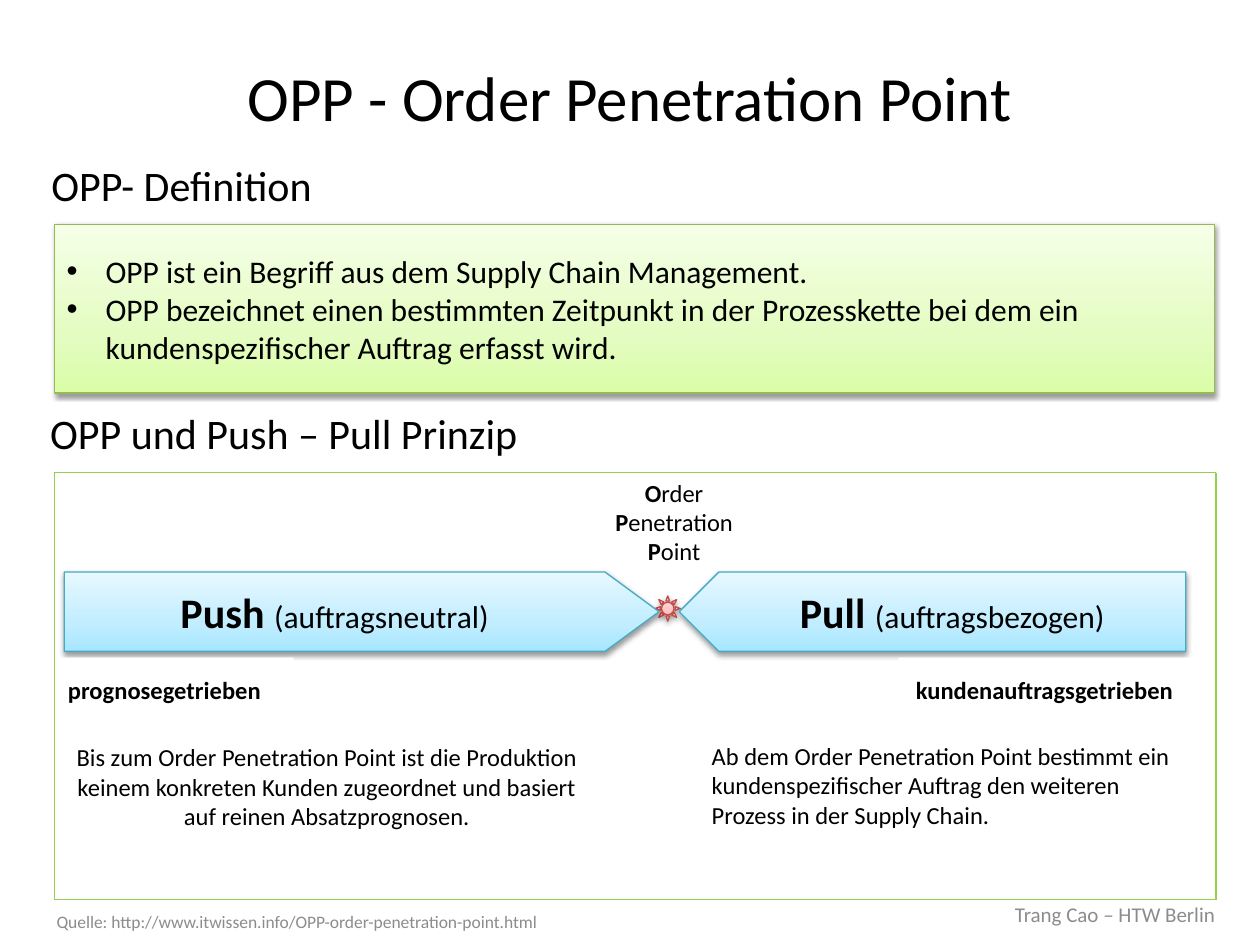
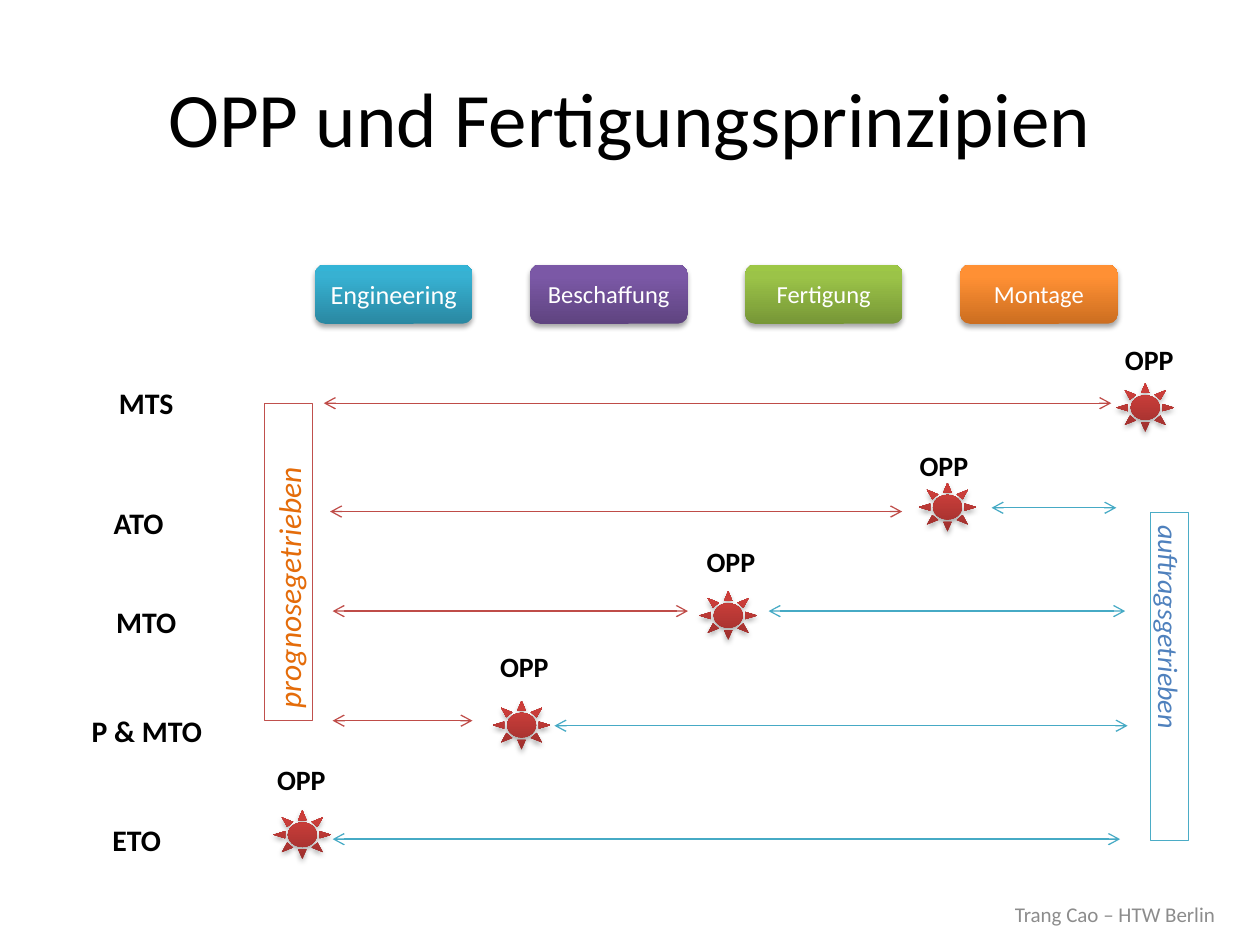
from dataclasses import dataclass, field
from typing import NamedTuple, Optional

import lxml.etree
import pptx
import pptx.dml.color
import pptx.enum.shapes
import pptx.enum.text
import pptx.oxml.ns
import pptx.util

Inches = pptx.util.Inches
Pt = pptx.util.Pt
qn = pptx.oxml.ns.qn
MSO = pptx.enum.shapes.MSO_SHAPE
ALIGN = pptx.enum.text.PP_ALIGN
ANCHOR = pptx.enum.text.MSO_ANCHOR

FONT = "Calibri"
BLACK, WHITE, GREY = "000000", "FFFFFF", "8C8C8C"
RED, TEAL, GREEN = "BF4C48", "46AAC5", "92D050"
SOFT_STOPS = (0, 35, 100)
STRONG_STOPS = (0, 80, 100)
SUN_COLOURS = ("9C2F2D", "CB3E3A", "CE3B37")
ARROW_COLOURS = ("A7E6FF", "C1EDFF", "E7F8FF")


class Area(NamedTuple):
    left: float
    top: float
    width: float
    height: float


class Run(NamedTuple):
    text: str
    size: float
    bold: bool = False
    italic: bool = False
    colour: str = BLACK


class Gradient(NamedTuple):
    stops: tuple
    colours: tuple
    shadow_alpha: int
    shadow_distance: float


def soft(*colours: str) -> Gradient:
    return Gradient(SOFT_STOPS, colours, 38, 1.6)


def strong(*colours: str) -> Gradient:
    return Gradient(STRONG_STOPS, colours, 35, 1.8)


@dataclass
class Box:
    area: Area
    paragraphs: list = field(default_factory=list)
    kind: int = MSO.RECTANGLE
    fill: object = WHITE
    line: Optional[str] = None
    align: int = ALIGN.CENTER
    rotation: float = 0
    adjustments: tuple = ()
    bullets: bool = False


class Row(NamedTuple):
    label: str
    label_area: Area
    sun: tuple
    opp: tuple
    forecast: Optional[tuple]
    order: Optional[tuple]


def rgb(colour: str) -> pptx.dml.color.RGBColor:
    return pptx.dml.color.RGBColor.from_string(colour)


def apply(obj, values: dict) -> None:
    for name, value in values.items():
        setattr(obj, name, value)


def inches(values) -> list:
    return [Inches(v) for v in values]


def add_child(parent, tag: str, **attributes):
    child = lxml.etree.SubElement(parent, qn(tag))
    for name, value in attributes.items():
        child.set(name, str(value))
    return child


def add_runs(p, runs: list, align: int) -> None:
    p.alignment = align
    for run in runs:
        r = p.add_run()
        r.text = run.text
        apply(r.font, dict(name=FONT, size=Pt(run.size), bold=run.bold, italic=run.italic))
        r.font.color.rgb = rgb(run.colour)


def write(tf, paragraphs: list, align: int, bullets: bool = False) -> None:
    for i, runs in enumerate(paragraphs):
        p = tf.paragraphs[0] if i == 0 else tf.add_paragraph()
        if bullets:
            pPr = p._p.get_or_add_pPr()
            pPr.set("marL", str(Inches(0.31)))
            pPr.set("indent", str(-Inches(0.31)))
            add_child(pPr, "a:buFont", typeface="Arial")
            add_child(pPr, "a:buChar", char="•")
        add_runs(p, runs, align)


def fill_gradient(sp, gradient: Gradient) -> None:
    sp.fill.gradient()
    sp.fill.gradient_angle = 90
    spPr = sp._element.spPr
    stops = spPr.find(qn("a:gradFill")).find(qn("a:gsLst"))
    for stop in list(stops):
        stops.remove(stop)
    for position, colour in zip(gradient.stops, gradient.colours):
        stop = add_child(stops, "a:gs", pos=position * 1000)
        add_child(stop, "a:srgbClr", val=colour)
    shadow = add_child(spPr.find(qn("a:effectLst")), "a:outerShdw", blurRad=Pt(3.1),
                       dist=Pt(gradient.shadow_distance), dir=90 * 60000, rotWithShape=0)
    colour = add_child(shadow, "a:srgbClr", val=BLACK)
    add_child(colour, "a:alpha", val=gradient.shadow_alpha * 1000)


def draw_box(s, box: Box) -> None:
    sp = s.shapes.add_shape(box.kind, *inches(box.area))
    sp.shadow.inherit = False
    sp.rotation = box.rotation
    for i, value in enumerate(box.adjustments):
        sp.adjustments[i] = value
    if box.line:
        sp.line.color.rgb = rgb(box.line)
        sp.line.width = Pt(0.75)
    else:
        sp.line.fill.background()
    if isinstance(box.fill, Gradient):
        fill_gradient(sp, box.fill)
    else:
        sp.fill.solid()
        sp.fill.fore_color.rgb = rgb(box.fill)
    apply(sp.text_frame, dict(word_wrap=True, vertical_anchor=ANCHOR.MIDDLE))
    write(sp.text_frame, box.paragraphs, box.align, box.bullets)


def draw_text(s, area: Area, run: Run, align: int = ALIGN.LEFT, **frame) -> None:
    tf = s.shapes.add_textbox(*inches(area)).text_frame
    apply(tf, dict(word_wrap=True, vertical_anchor=ANCHOR.MIDDLE) | frame)
    write(tf, [[run]], align)


def draw_line(s, start: tuple, end: tuple, colour: str, arrows: bool = False) -> None:
    straight = pptx.enum.shapes.MSO_CONNECTOR.STRAIGHT
    cxn = s.shapes.add_connector(straight, *inches(start + end))
    cxn.line.color.rgb = rgb(colour)
    cxn.line.width = Pt(0.75)
    if arrows:
        for tag in ("a:headEnd", "a:tailEnd"):
            add_child(cxn.line._get_or_add_ln(), tag, type="arrow")
    add_child(cxn._element.spPr, "a:effectLst")


def new_slide(prs, title: str, size: float, height: float):
    s = prs.slides.add_slide(prs.slide_layouts[5])
    sp = s.shapes.title
    left, top, width, depth = inches((0.5, 0.3, 9, height))
    apply(sp, dict(left=left, top=top, width=width, height=depth))
    apply(sp.text_frame, dict(word_wrap=True, vertical_anchor=ANCHOR.MIDDLE))
    write(sp.text_frame, [[Run(title, size)]], ALIGN.CENTER)
    draw_text(s, Area(7.66, 7.06, 2.38, 0.39),
              Run("Trang Cao – HTW Berlin", 12, colour=GREY), ALIGN.CENTER)
    return s


def build_definition(prs) -> None:
    s = new_slide(prs, "OPP - Order Penetration Point", 36, 0.93)
    boxes = [
        Box(Area(0.43, 1.78, 9.21, 1.34), [
            [Run("OPP ist ein Begriff aus dem Supply Chain Management.", 18)],
            [Run("OPP bezeichnet einen bestimmten Zeitpunkt in der Prozesskette bei dem "
                 "ein kundenspezifischer Auftrag erfasst wird.", 18)],
        ], fill=soft("DAFDA7", "E4FCC2", "F5FFE7"), line="98B955", align=ALIGN.LEFT,
            bullets=True),
        Box(Area(5.2, 4.73, 0.2, 0.2), kind=MSO.SUN,
            fill=soft("FFA6A5", "FFC0BF", "FFE7E7"), line=RED),
        Box(Area(4.76, 3.67, 1.18, 0.94), [
            [Run("O", 14, True), Run("rder", 14)],
            [Run("P", 14, True), Run("enetration ", 14), Run("P", 14, True), Run("oint", 14)],
        ]),
        Box(Area(0.51, 4.54, 4.72, 0.63),
            [[Run("Push ", 24, True), Run("(auftragsneutral)", 18)]],
            MSO.RIGHT_ARROW, soft(*ARROW_COLOURS), TEAL, adjustments=(1, 0.68)),
        Box(Area(5.39, 4.54, 4.02, 0.63),
            [[Run("Pull ", 24, True), Run("(auftragsbezogen)", 18)]],
            MSO.LEFT_ARROW, soft(*ARROW_COLOURS), TEAL, adjustments=(1, 0.5)),
        Box(Area(0.43, 5.77, 4.33, 0.94), [[Run(
            "Bis zum Order Penetration Point ist die Produktion keinem konkreten Kunden "
            "zugeordnet und basiert auf reinen Absatzprognosen.", 14)]]),
        Box(Area(5.55, 5.72, 4.02, 1.02), [[Run(
            "Ab dem Order Penetration Point bestimmt ein kundenspezifischer Auftrag den "
            "weiteren Prozess in der Supply Chain.", 14)]], align=ALIGN.LEFT),
        Box(Area(0.28, 5.22, 2.05, 0.5), [[Run("prognosegetrieben", 14, True)]]),
        Box(Area(7.13, 5.22, 2.32, 0.5), [[Run("kundenauftragsgetrieben", 14, True)]]),
        Box(Area(0.31, 1.23, 2.28, 0.47), [[Run("OPP- Definition", 24)]], align=ALIGN.LEFT),
        Box(Area(0.3, 3.2, 4.76, 0.47), [[Run("OPP und Push – Pull Prinzip", 24)]],
            align=ALIGN.LEFT),
    ]
    for box in boxes:
        draw_box(s, box)

    left, right, top, bottom = 0.43, 9.65, 3.75, 7.14
    for y in (top, bottom):
        draw_line(s, (left, y), (right, y), GREEN)
    for x in (left, right):
        draw_line(s, (x, top), (x, bottom), GREEN)
    draw_text(s, Area(0.35, 7.21, 5.91, 0.21), Run(
        "Quelle: http://www.itwissen.info/OPP-order-penetration-point.html", 10, colour=GREY))


PHASES = [
    ("Engineering", 15, ("2A88A2", "37B1D2", "34B4D6")),
    ("Beschaffung", 14, ("5F4480", "7B58A6", "7C57A8")),
    ("Fertigung", 14, ("779737", "9BC348", "9DC746")),
    ("Montage", 14, ("CC6E20", "FF9034", "FF9136")),
]

ROWS = [
    Row("MTS", Area(0.39, 2.88, 1.54, 0.63), (8.86, 3.04), (8.83, 2.67),
        (2.57, 8.82, 3.2), None),
    Row("ATO", Area(0.24, 3.83, 1.72, 0.63), (7.29, 3.83), (7.2, 3.51),
        (2.62, 7.16, 4.06), (7.87, 8.86, 4.03)),
    Row("MTO", Area(0.31, 4.62, 1.7, 0.63), (5.55, 4.69), (5.51, 4.27),
        (2.64, 5.46, 4.85), (6.1, 8.93, 4.85)),
    Row("P & MTO", Area(0.24, 5.48, 1.85, 0.63), (3.91, 5.56), (3.87, 5.11),
        (2.64, 3.75, 5.72), (4.4, 8.95, 5.76)),
    Row("ETO", Area(0.24, 6.35, 1.69, 0.63), (2.17, 6.43), (2.1, 6),
        None, (2.64, 8.89, 6.66)),
]


def draw_row(s, row: Row) -> None:
    draw_box(s, Box(row.label_area, [[Run(row.label, 17, True)]]))
    draw_box(s, Box(Area(*row.sun, 0.46, 0.39), kind=MSO.SUN, fill=strong(*SUN_COLOURS)))
    for span, colour in ((row.forecast, RED), (row.order, TEAL)):
        if span:
            start, end, y = span
            draw_line(s, (start, y), (end, y), colour, arrows=True)
    draw_text(s, Area(*row.opp, 0.59, 0.37), Run("OPP", 16, True), word_wrap=False,
              vertical_anchor=ANCHOR.TOP,
              auto_size=pptx.enum.text.MSO_AUTO_SIZE.SHAPE_TO_FIT_TEXT)


def build_principles(prs) -> None:
    s = new_slide(prs, "OPP und Fertigungsprinzipien", 44, 1.25)
    for i, (name, size, colours) in enumerate(PHASES):
        draw_box(s, Box(Area(2.5 + i * 5.12 / 3, 2.1, 1.25, 0.47),
                        [[Run(name, size, colour=WHITE)]],
                        MSO.ROUNDED_RECTANGLE, strong(*colours)))
    for row in ROWS:
        draw_row(s, row)
    draw_box(s, Box(Area(7.98, 5.22, 2.6, 0.3),
                    [[Run("auftragsgetrieben", 16, italic=True, colour="4F81BD")]],
                    line="4BACC6", align=ALIGN.LEFT, rotation=90))
    draw_box(s, Box(Area(1.03, 4.27, 2.52, 0.38),
                    [[Run("prognosegetrieben", 18, italic=True, colour="E46C0A")]],
                    line="C0504D", align=ALIGN.LEFT, rotation=270))


def main() -> None:
    prs = pptx.Presentation()
    apply(prs, dict(slide_width=Inches(10), slide_height=Inches(7.5)))
    build_definition(prs)
    build_principles(prs)
    prs.save("out.pptx")


if __name__ == "__main__":
    main()
